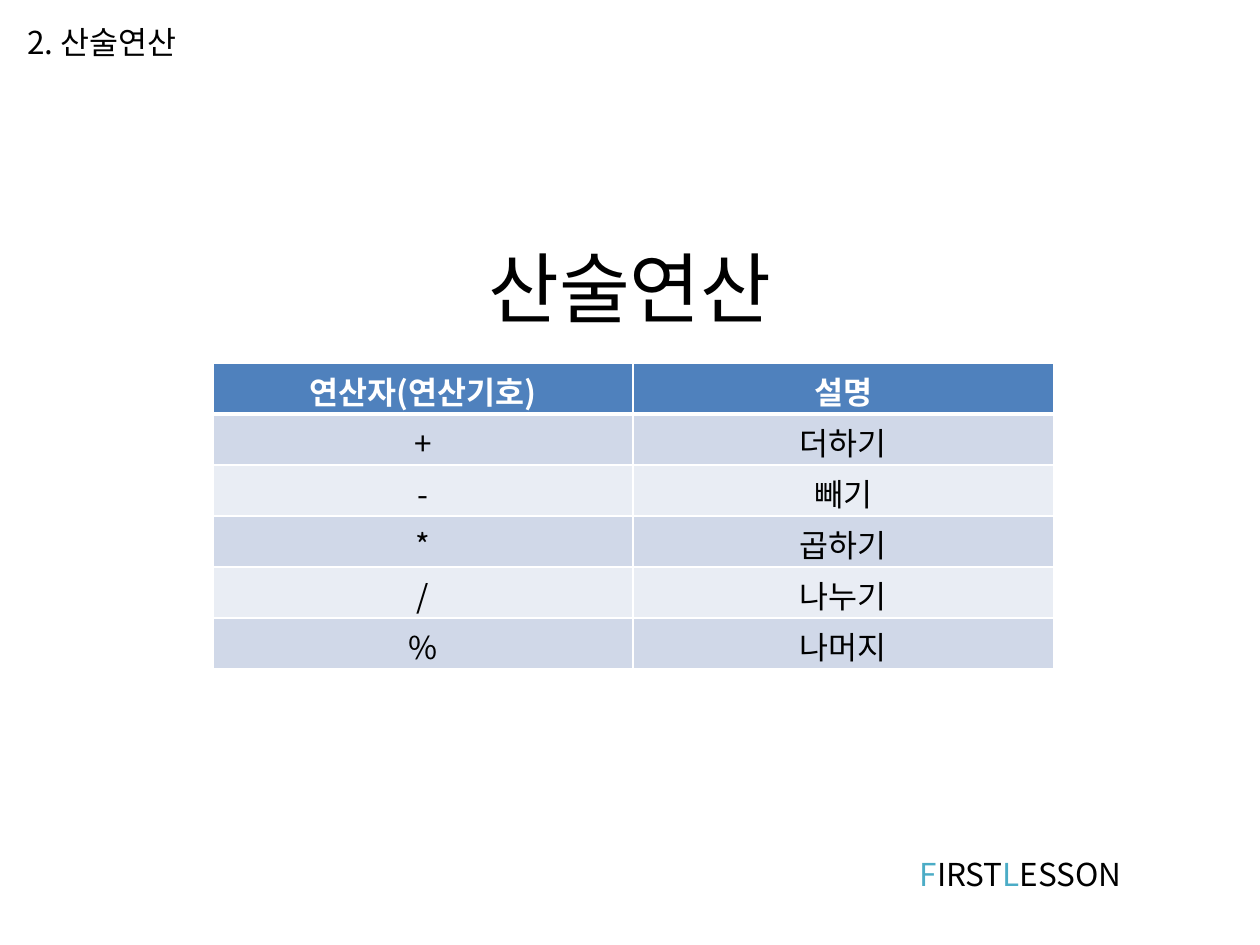
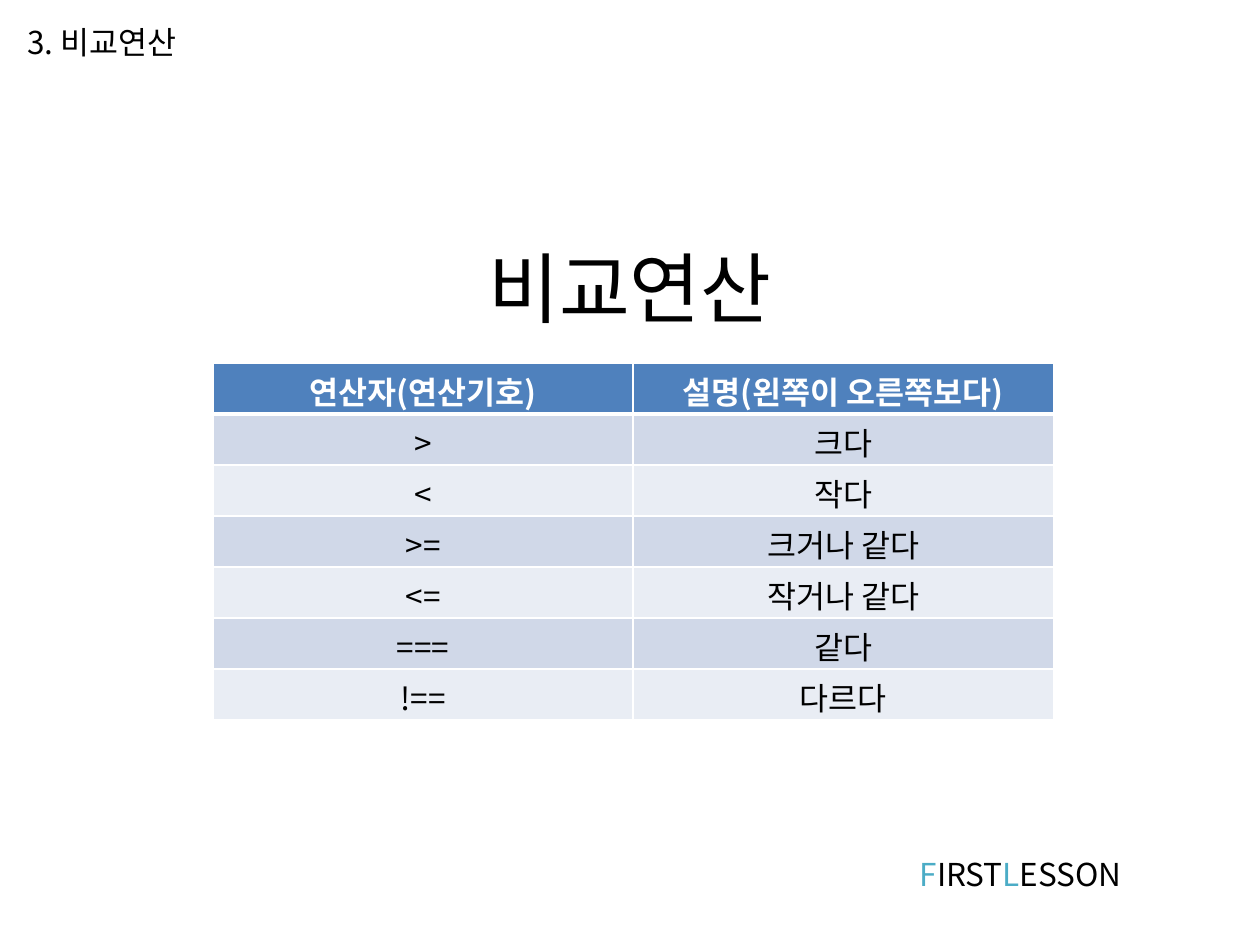
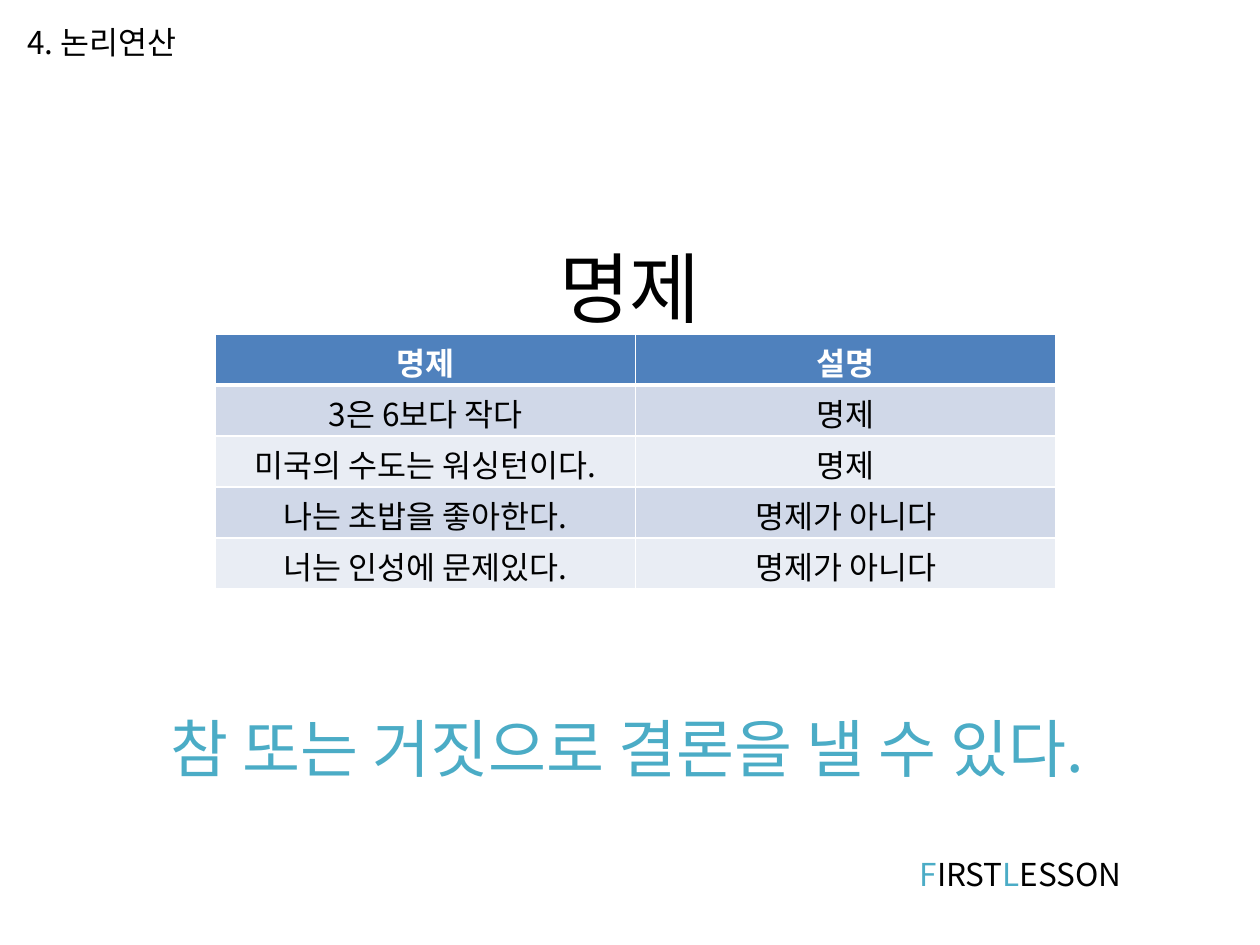
from dataclasses import dataclass

from lxml import etree
from pptx import Presentation
from pptx.dml.color import RGBColor
from pptx.enum.text import MSO_ANCHOR, MSO_AUTO_SIZE, PP_ALIGN
from pptx.oxml.ns import qn
from pptx.util import Inches, Pt

LEFT, CENTER = PP_ALIGN.LEFT, PP_ALIGN.CENTER
TOP, MIDDLE = MSO_ANCHOR.TOP, MSO_ANCHOR.MIDDLE
GROW, FIXED = MSO_AUTO_SIZE.SHAPE_TO_FIT_TEXT, MSO_AUTO_SIZE.NONE
BLANK_LAYOUT = 6


@dataclass(frozen=True)
class Theme:
    font: str = "Noto Sans CJK KR"
    ink: str = "000000"
    paper: str = "FFFFFF"
    accent: str = "4BACC6"
    header: str = "4F81BD"
    bands: tuple = ("D0D8E8", "E9EDF4")
    title_size: int = 44
    conclusion_size: int = 36
    body_size: int = 18
    rule: int = 1
    header_rule: int = 3


def write(frame, text, *, size, color, bold=False, align=LEFT):
    """Fill the first paragraph; text is a string or a list of (string, color)."""
    paragraph = frame.paragraphs[0]
    paragraph.alignment = align
    pieces = [(text, color)] if isinstance(text, str) else text
    for words, ink in pieces:
        run = paragraph.add_run()
        run.text = words
        font = run.font
        font.name, font.size, font.bold = THEME.font, Pt(size), bold
        font.color.rgb = RGBColor.from_string(ink)
        east_asian = etree.SubElement(run._r.get_or_add_rPr(), qn("a:ea"))
        east_asian.set("typeface", THEME.font)


def draw_borders(cell, color, **widths):
    """Add cell borders, widths in points keyed by L, R, T and B in that order."""
    properties = cell._tc.get_or_add_tcPr()
    for side, width in widths.items():
        line = etree.SubElement(properties, qn(f"a:ln{side}"), w=str(Pt(width)))
        fill = etree.SubElement(line, qn("a:solidFill"))
        etree.SubElement(fill, qn("a:srgbClr"), val=color)


class Deck:
    """Holds the theme and current slide; lengths are percent of the slide."""

    def __init__(self, theme):
        self.theme = theme
        self.presentation = Presentation()
        self.presentation.slide_width = Inches(10)
        self.presentation.slide_height = Inches(7.5)
        self.slide = None

    def x(self, percent):
        return round(self.presentation.slide_width * percent / 100)

    def y(self, percent):
        return round(self.presentation.slide_height * percent / 100)

    def box(self, left, top, width, height):
        return self.x(left), self.y(top), self.x(width), self.y(height)

    def new_slide(self):
        layout = self.presentation.slide_layouts[BLANK_LAYOUT]
        self.slide = self.presentation.slides.add_slide(layout)

    def text(self, text, place, *, anchor=TOP, fit=FIXED, wrap=True, **style):
        frame = self.slide.shapes.add_textbox(*self.box(*place)).text_frame
        frame.word_wrap = wrap
        frame.auto_size = fit
        frame.vertical_anchor = anchor
        write(frame, text, **style)

    def title(self, text):
        self.text(text, (7.5, 19.6, 85, 21.47), anchor=MIDDLE, align=CENTER,
                  size=self.theme.title_size, color=self.theme.ink)

    def heading(self, text):
        self.text(text, (1.2, 1.73, 28.3, 5.33), fit=GROW,
                  size=self.theme.body_size, color=self.theme.ink)

    def footer(self):
        ink, accent = self.theme.ink, self.theme.accent
        wordmark = [("F", accent), ("IRST", ink), ("L", accent), ("ESSON", ink)]
        self.text(wordmark, (72, 89.87, 20.1, 5.33), fit=GROW, wrap=False,
                  size=self.theme.body_size, color=ink)

    def conclusion(self, text):
        self.text(text, (9.8, 68.4, 81.1, 21.47), anchor=MIDDLE, align=CENTER,
                  size=self.theme.conclusion_size, color=self.theme.accent)

    def table(self, rows, left, top, width=66.7, row_height=5.4):
        theme = self.theme
        place = self.box(left, top, width, row_height * len(rows))
        table = self.slide.shapes.add_table(len(rows), len(rows[0]), *place).table
        for r, row in enumerate(rows):
            is_header = r == 0
            fill = theme.header if is_header else theme.bands[(r - 1) % 2]
            for c, words in enumerate(row):
                cell = table.cell(r, c)
                cell.margin_top, cell.margin_bottom = Inches(0.04), 0
                write(cell.text_frame, words, size=theme.body_size, bold=is_header,
                      color=theme.paper if is_header else theme.ink, align=CENTER)
                draw_borders(cell, theme.paper, L=theme.rule, R=theme.rule,
                             T=theme.header_rule if r == 1 else theme.rule,
                             B=theme.header_rule if is_header else theme.rule)
                cell.fill.solid()
                cell.fill.fore_color.rgb = RGBColor.from_string(fill)


THEME = Theme()
OPERATOR = "연산자(연산기호)"
TABLE_SPOT = (16.9, 38.4)

LESSONS = [
    dict(heading="2. 산술연산", title="산술연산", spot=TABLE_SPOT, rows=[
        (OPERATOR, "설명"),
        ("+", "더하기"),
        ("-", "빼기"),
        ("*", "곱하기"),
        ("/", "나누기"),
        ("%", "나머지"),
    ]),
    dict(heading="3. 비교연산", title="비교연산", spot=TABLE_SPOT, rows=[
        (OPERATOR, "설명(왼쪽이 오른쪽보다)"),
        (">", "크다"),
        ("<", "작다"),
        (">=", "크거나 같다"),
        ("<=", "작거나 같다"),
        ("===", "같다"),
        ("!==", "다르다"),
    ]),
    dict(heading="4. 논리연산", title="명제", spot=(17.1, 35.33), rows=[
        ("명제", "설명"),
        ("3은 6보다 작다", "명제"),
        ("미국의 수도는 워싱턴이다.", "명제"),
        ("나는 초밥을 좋아한다.", "명제가 아니다"),
        ("너는 인성에 문제있다.", "명제가 아니다"),
    ], conclusion="참 또는 거짓으로 결론을 낼 수 있다. "),
]


def main():
    deck = Deck(THEME)
    for lesson in LESSONS:
        deck.new_slide()
        deck.title(lesson["title"])
        deck.footer()
        if "conclusion" in lesson:
            deck.conclusion(lesson["conclusion"])
        deck.table(lesson["rows"], *lesson["spot"])
        deck.heading(lesson["heading"])
    deck.presentation.save("out.pptx")


if __name__ == "__main__":
    main()
